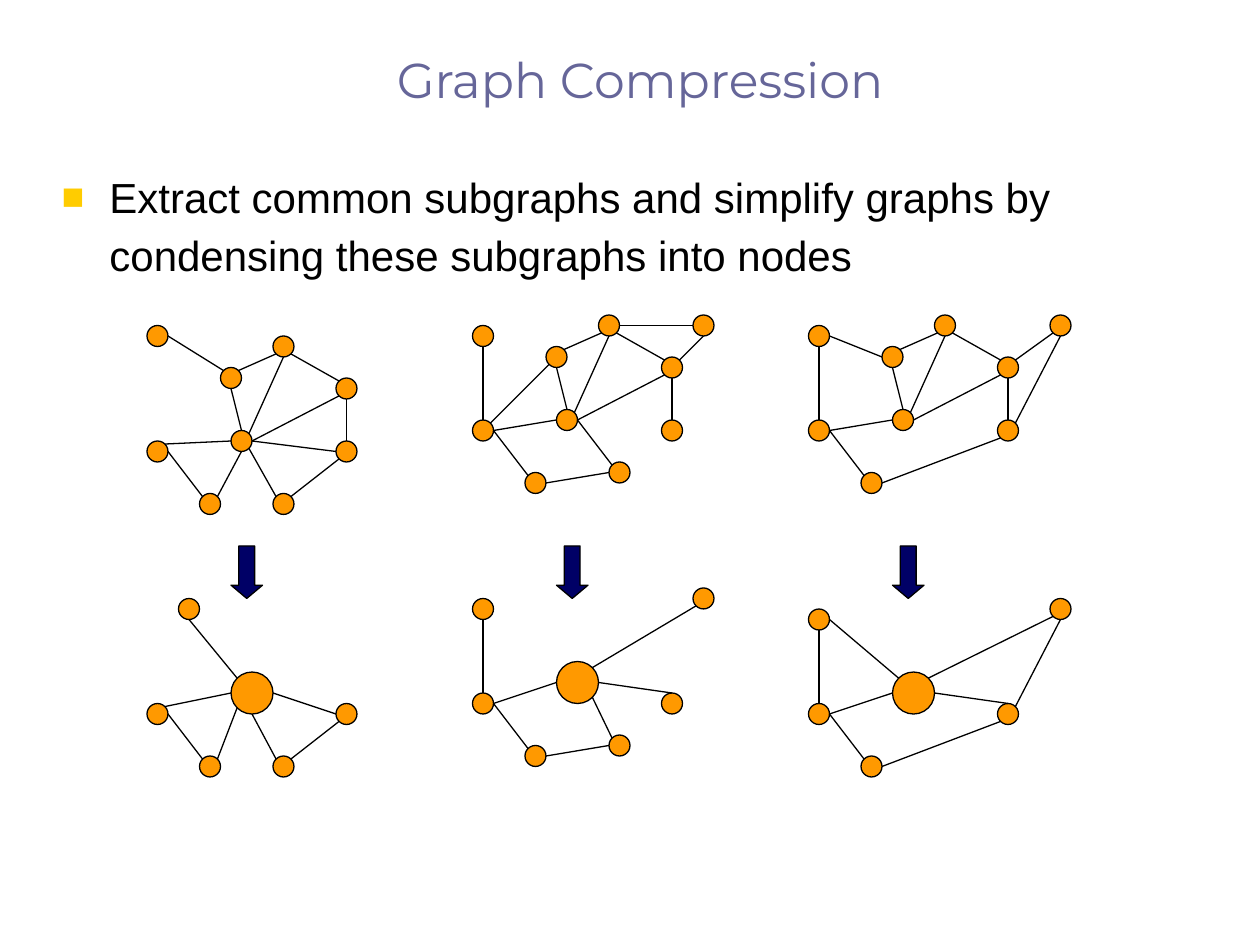
import math

import lxml.etree
import pptx
import pptx.dml.color
import pptx.enum.shapes
import pptx.enum.text
import pptx.oxml.ns
import pptx.util

Inches = pptx.util.Inches
Pt = pptx.util.Pt
RGBColor = pptx.dml.color.RGBColor
MSO_SHAPE = pptx.enum.shapes.MSO_SHAPE
PP_ALIGN = pptx.enum.text.PP_ALIGN
qn = pptx.oxml.ns.qn

TITLE_COLOR = RGBColor(0x66, 0x66, 0x99)
BULLET_COLOR = RGBColor(0xFF, 0xCC, 0x00)
NODE_COLOR = RGBColor(0xFF, 0x99, 0x00)
ARROW_COLOR = RGBColor(0x00, 0x00, 0x66)
BLACK = RGBColor(0x00, 0x00, 0x00)

GRID = 12  # grid steps per inch
NODE_RADIUS = 1
HUB_RADIUS = 2
DIAGONAL = math.sqrt(0.5)
SITES = {
    "N": (0, -1), "S": (0, 1), "W": (-1, 0), "E": (1, 0),
    "NW": (-DIAGONAL, -DIAGONAL), "NE": (DIAGONAL, -DIAGONAL),
    "SW": (-DIAGONAL, DIAGONAL), "SE": (DIAGONAL, DIAGONAL),
}

# Node centres in grid steps; each edge names a node and its side at both ends.
FULL_GRAPHS = [
    (dict(a=(15, 32), b=(15, 43), c=(22, 36), d=(27, 33), e=(23, 42),
          f=(33, 37), g=(27, 48), h=(33, 43), i=(20, 48)),
     "c.NW-a.E c.NE-d.SW c.S-e.N d.SE-f.NW e.E-f.SW d.S-e.NE f.S-h.N "
     "b.E-i.NW e.E-h.W e.S-i.NE e.W-b.NE h.SW-g.NE e.SE-g.NW"),
    (dict(a=(46, 32), b=(46, 41), c=(53, 34), d=(58, 31), e=(54, 40),
          f=(64, 35), g=(59, 45), h=(64, 41), i=(51, 46), j=(67, 31)),
     "b.N-a.S c.NE-d.SW c.S-e.N d.SE-f.NW e.E-f.SW d.S-e.NE f.S-h.N "
     "b.E-i.NW e.E-g.NW e.W-b.E i.E-g.W d.E-j.W f.NE-j.S c.SW-b.NE"),
    (dict(a=(78, 32), b=(78, 41), c=(85, 34), d=(90, 31), e=(86, 40),
          f=(96, 35), h=(96, 41), i=(83, 46), j=(101, 31)),
     "b.N-a.S c.NE-d.SW c.S-e.N d.SE-f.NW e.E-f.SW d.S-e.NE f.S-h.N "
     "b.E-i.NW e.W-b.E i.E-h.SW h.NE-j.S f.NE-j.SW a.E-c.W"),
]
CONDENSED_GRAPHS = [
    (dict(a=(18, 58), b=(15, 68), hub=(24, 66), g=(27, 73), h=(33, 68),
          i=(20, 73)),
     "hub.NW-a.S b.E-i.NW hub.E-h.W hub.SW-i.NE hub.W-b.NE h.SW-g.NE "
     "hub.S-g.NW"),
    (dict(a=(46, 58), b=(46, 67), hub=(55, 65), g=(59, 71), h=(64, 67),
          i=(51, 72), j=(67, 57)),
     "b.N-a.S hub.E-h.N b.E-i.NW hub.SE-g.NW hub.W-b.E i.E-g.W "
     "hub.NE-j.SW"),
    (dict(a=(78, 59), b=(78, 68), hub=(87, 66), h=(96, 68), i=(83, 73),
          j=(101, 58)),
     "b.N-a.S hub.E-h.N b.E-i.NW hub.W-b.E i.E-h.SW h.NE-j.S hub.NE-j.SW "
     "a.E-hub.NW"),
]
ARROW_LEFTS = (22, 53, 85)


def grid(*steps):
    return [Inches(step / GRID) for step in steps]


def radius_of(name):
    return HUB_RADIUS if name == "hub" else NODE_RADIUS


class GraphSlide:
    def __init__(self, slide):
        self.slide = slide
        self.line_width = Pt(0.75)

    def style_text(self, paragraph, font_name, size, color):
        font = paragraph.runs[0].font
        font.name = font_name
        font.size = Pt(size)
        font.color.rgb = color

    def title(self, text):
        shape = self.slide.shapes.title
        shape.left, shape.top = Inches(0.58), Inches(0.33)
        shape.width, shape.height = Inches(9), Inches(0.58)
        shape.text_frame.text = text
        shape.text_frame.vertical_anchor = pptx.enum.text.MSO_ANCHOR.BOTTOM
        paragraph = shape.text_frame.paragraphs[0]
        paragraph.alignment = PP_ALIGN.CENTER
        self.style_text(paragraph, "Montserrat", 28, TITLE_COLOR)

    def bullet(self, text):
        shape = self.slide.shapes.add_textbox(
            Inches(0.39), Inches(1.25), Inches(9.25), Inches(1.08))
        shape.text_frame.word_wrap = True
        shape.text_frame.text = text
        paragraph = shape.text_frame.paragraphs[0]
        properties = paragraph._p.get_or_add_pPr()
        properties.set("marL", str(Inches(0.38)))
        properties.set("indent", str(Inches(-0.38)))
        color = lxml.etree.SubElement(properties, qn("a:buClr"))
        lxml.etree.SubElement(color, qn("a:srgbClr"), val=str(BULLET_COLOR))
        lxml.etree.SubElement(properties, qn("a:buSzPct"), val="90000")
        lxml.etree.SubElement(properties, qn("a:buFont"), typeface="Arial")
        lxml.etree.SubElement(properties, qn("a:buChar"), char="■")
        paragraph.line_spacing = 1.15
        self.style_text(paragraph, "Arial", 24, BLACK)

    def filled_shape(self, shapes, kind, box, color):
        shape = shapes.add_shape(kind, *grid(*box))
        shape.shadow.inherit = False
        shape.fill.solid()
        shape.fill.fore_color.rgb = color
        shape.line.color.rgb = BLACK
        shape.line.width = self.line_width
        return shape

    def node(self, shapes, center, radius):
        x, y = center
        box = (x - radius, y - radius, 2 * radius, 2 * radius)
        self.filled_shape(shapes, MSO_SHAPE.OVAL, box, NODE_COLOR)

    def edge(self, shapes, start, end):
        connector = shapes.add_connector(
            pptx.enum.shapes.MSO_CONNECTOR.STRAIGHT, *grid(*start, *end))
        connector.line.color.rgb = BLACK
        connector.line.width = self.line_width
        lxml.etree.SubElement(connector._element.spPr, qn("a:effectLst"))

    def graph(self, shapes, nodes, edges):
        def rim_point(end):
            """Turn an end such as "a.NE" into a point on the node's rim."""
            name, site = end.split(".")
            return [center + radius_of(name) * offset
                    for center, offset in zip(nodes[name], SITES[site])]

        for name, center in nodes.items():
            self.node(shapes, center, radius_of(name))
        for edge in edges.split():
            self.edge(shapes, *map(rim_point, edge.split("-")))

    def down_arrow(self, left):
        arrow = self.filled_shape(self.slide.shapes, MSO_SHAPE.DOWN_ARROW,
                                  (left, 52, 3, 5), ARROW_COLOR)
        arrow.adjustments[0] = 0.5
        arrow.adjustments[1] = 0.42


def main():
    presentation = pptx.Presentation()
    presentation.slide_width = Inches(10)
    presentation.slide_height = Inches(7.5)
    slide = presentation.slides.add_slide(presentation.slide_layouts[5])
    page = GraphSlide(slide)
    page.title("Graph Compression")
    page.bullet("Extract common subgraphs and simplify graphs by "
                "condensing these subgraphs into nodes")
    for nodes, edges in FULL_GRAPHS:
        page.graph(slide.shapes, nodes, edges)
    for nodes, edges in CONDENSED_GRAPHS:
        page.graph(slide.shapes.add_group_shape().shapes, nodes, edges)
    for left in ARROW_LEFTS:
        page.down_arrow(left)
    presentation.save("out.pptx")


if __name__ == "__main__":
    main()
